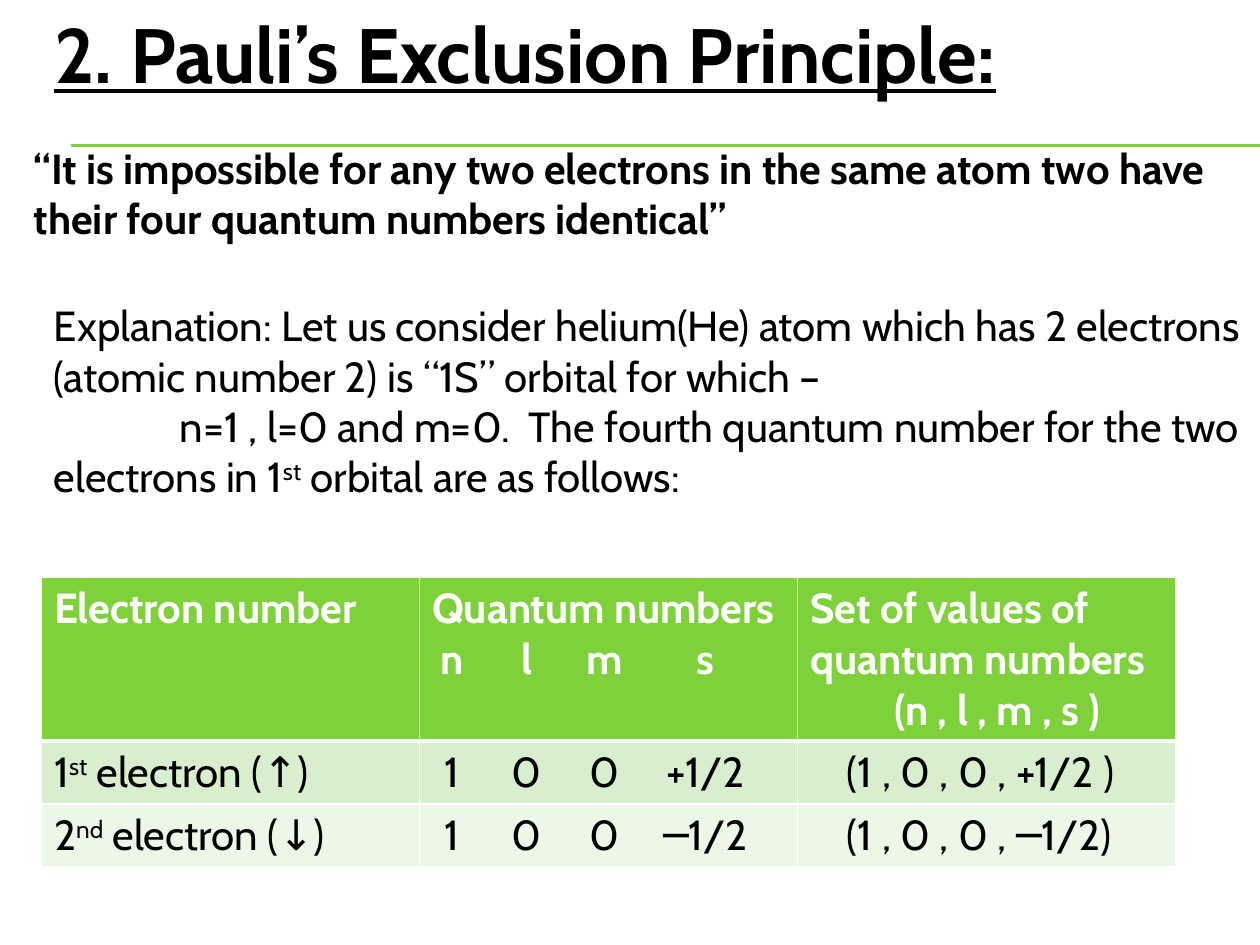
from dataclasses import dataclass

from lxml.etree import SubElement
from pptx import Presentation
from pptx.dml.color import RGBColor
from pptx.enum.shapes import MSO_CONNECTOR
from pptx.enum.text import MSO_ANCHOR, MSO_AUTO_SIZE, PP_ALIGN
from pptx.oxml import parse_xml
from pptx.oxml.ns import nsdecls, qn
from pptx.util import Inches, Pt


@dataclass(frozen=True)
class Theme:
    font: str = "Cabin"
    ink: str = "000000"
    white: str = "FFFFFF"
    green: str = "7FD13B"
    bands: tuple = ("D8EECE", "ECF7E8")
    title: int = 44
    body: int = 24
    rule: float = 0.75


THEME = Theme()
STOPS = (0.16, 0.75, 1.37, 2.17)
HEADS = (
    ["Electron number"],
    ["Quantum numbers", "\tn\tl\tm\ts"],
    ["Set of values of quantum numbers", "(n , l , m , s )"],
)
ROWS = (
    (["1^st^ electron (↑)"], ["\t1\t0\t0\t+1/2"], ["(1 , 0 , 0 , +1/2 )"]),
    (["2^nd^ electron (↓)"], ["\t1\t0\t0\t─1/2"], ["(1 , 0 , 0 , ─1/2)"]),
)


def style(font, size, color, bold=False):
    font.name = THEME.font
    font.size = Pt(size)
    font.bold = bold
    font.color.rgb = RGBColor.from_string(color)


def write(frame, lines, color=THEME.ink, bold=False):
    """Fill a frame with body text; parts between ^ marks are superscript."""
    frame.text = "\n".join(line.split("^")[0] for line in lines)
    for para, line in zip(frame.paragraphs, lines):
        for part in line.split("^")[1:]:
            para.add_run().text = part
        for num, run in enumerate(para.runs):
            style(run.font, THEME.body, color, bold)
            if num % 2:
                run._r.get_or_add_rPr().set("baseline", "30000")


def indent(para, left=0, first=0):
    props = para._p.get_or_add_pPr()
    props.set("marL", str(Inches(left)))
    props.set("indent", str(Inches(first)))


def set_tabs(para):
    tabs = SubElement(para._p.get_or_add_pPr(), qn("a:tabLst"))
    for stop in STOPS:
        SubElement(tabs, qn("a:tab"), pos=str(Inches(stop)), algn="ctr")


def add_title(slide, text):
    title = slide.shapes.title
    title.left, title.top = Inches(0.33), Inches(0)
    title.width, title.height = Inches(9.42), Inches(0.84)
    frame = title.text_frame
    frame.text = text
    frame.auto_size = MSO_AUTO_SIZE.SHAPE_TO_FIT_TEXT
    frame.vertical_anchor = MSO_ANCHOR.TOP
    para = frame.paragraphs[0]
    para.alignment = PP_ALIGN.LEFT
    font = para.runs[0].font
    style(font, THEME.title, THEME.ink, True)
    font.underline = True


def add_text(slide, box, lines, bold=False):
    frame = slide.shapes.add_textbox(*map(Inches, box)).text_frame
    frame.word_wrap = True
    frame.auto_size = MSO_AUTO_SIZE.SHAPE_TO_FIT_TEXT
    write(frame, lines, bold=bold)
    return frame


def add_rule(slide, top):
    rule = slide.shapes.add_connector(
        MSO_CONNECTOR.STRAIGHT, Inches(0.56), Inches(top), Inches(10), Inches(top)
    )
    rule.line.color.rgb = RGBColor.from_string(THEME.green)
    rule.line.width = Pt(THEME.rule)
    SubElement(rule._element.spPr, qn("a:effectLst"))


def set_edges(cell, top, bottom):
    props = cell._tc.get_or_add_tcPr()
    widths = {"lnL": 1, "lnR": 1, "lnT": top, "lnB": bottom}
    for spot, (tag, width) in enumerate(widths.items()):
        props.insert(spot, parse_xml(
            f'<a:{tag} {nsdecls("a")} w="{Pt(width)}"><a:solidFill>'
            f'<a:srgbClr val="{THEME.white}"/></a:solidFill></a:{tag}>'
        ))


def fill_cell(cell, lines, row):
    head = row == 0
    write(cell.text_frame, lines, THEME.white if head else THEME.ink, head)
    cell.fill.solid()
    shade = THEME.green if head else THEME.bands[row - 1]
    cell.fill.fore_color.rgb = RGBColor.from_string(shade)
    set_edges(cell, 3 if row == 1 else 1, 3 if head else 1)
    for para in cell.text_frame.paragraphs:
        if "\t" in para.text:
            set_tabs(para)
        elif para.text.startswith("("):
            indent(para, left=0.67 if head else 0.29)


def add_grid(slide):
    rows = (HEADS, *ROWS)
    table = slide.shapes.add_table(
        len(rows), len(HEADS), Inches(0.33), Inches(4.58), Inches(9), Inches(2.3)
    ).table
    for num, row in enumerate(rows):
        table.rows[num].height = Inches(0.5 if num else 1.3)
        for col, lines in enumerate(row):
            fill_cell(table.cell(num, col), lines, num)


def main():
    deck = Presentation()
    deck.slide_width, deck.slide_height = Inches(10), Inches(7.5)
    slide = deck.slides.add_slide(deck.slide_layouts[5])
    for top in (1.15, 1.16):
        add_rule(slide, top)
    add_title(slide, "2. Pauli’s Exclusion Principle:")
    add_text(slide, (0.17, 1.08, 9.83, 0.91), [
        "“It is impossible for any two electrons in the same atom two have "
        "their four quantum numbers identical”",
    ], bold=True)
    case = add_text(slide, (0.33, 2.33, 9.67, 1.72), [
        "Explanation: Let us consider helium(He) atom which has 2 electrons "
        "(atomic number 2) is “1S” orbital for which –",
        "n=1 , l=0 and m=0.  The fourth quantum number for the two "
        "electrons in 1^st^ orbital are as follows:",
    ])
    indent(case.paragraphs[1], first=1)
    add_grid(slide)
    deck.save("out.pptx")


if __name__ == "__main__":
    main()
